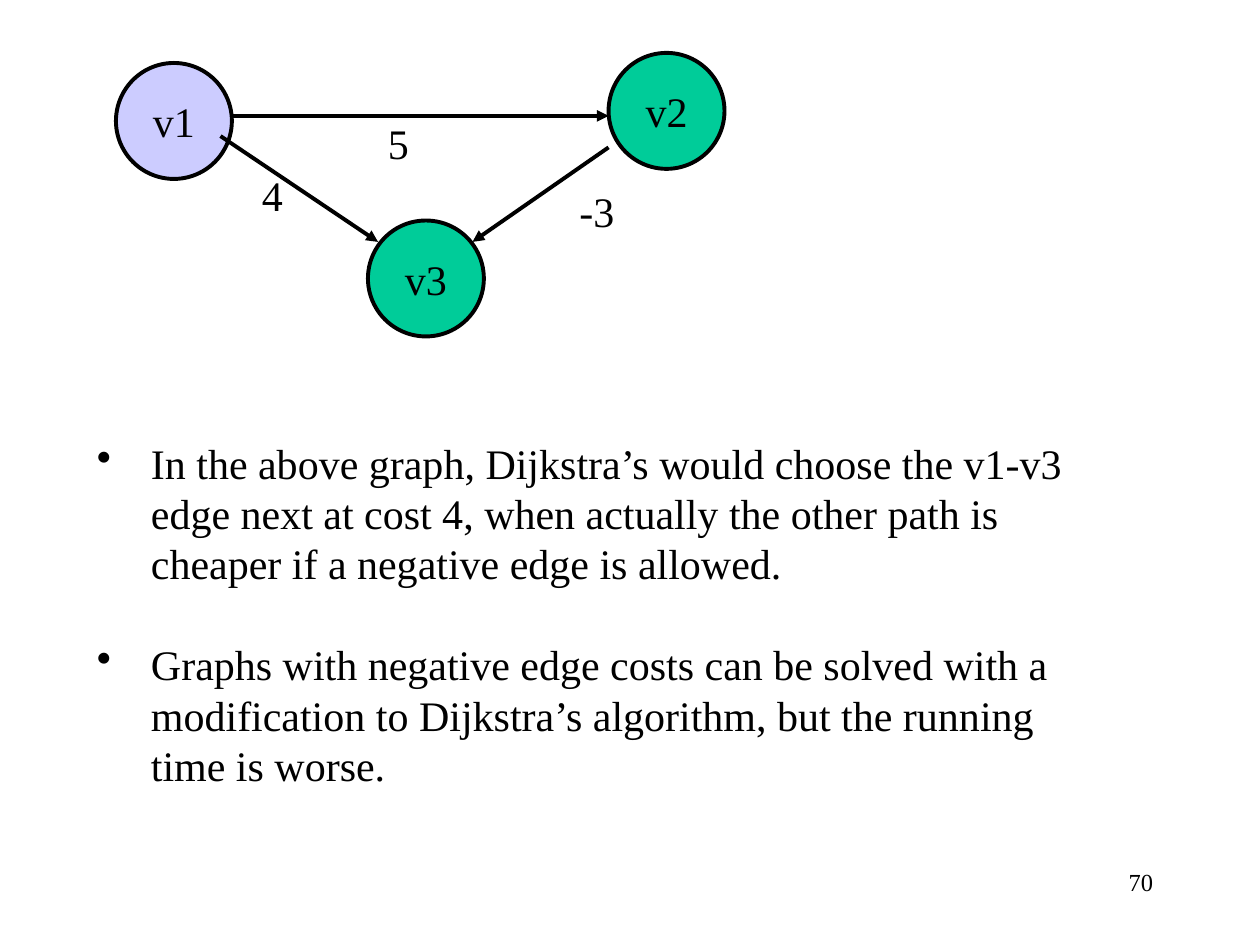
from dataclasses import dataclass
from lxml.etree import SubElement
from pptx import Presentation
from pptx.dml.color import RGBColor
from pptx.enum.shapes import MSO_CONNECTOR, MSO_SHAPE
from pptx.enum.text import MSO_ANCHOR, MSO_AUTO_SIZE, PP_ALIGN
from pptx.oxml.ns import qn
from pptx.util import Inches, Pt


@dataclass(frozen=True)
class Theme:
    font: str = "Times New Roman"
    ink: RGBColor = RGBColor(0, 0, 0)
    start: RGBColor = RGBColor(0xCC, 0xCC, 0xFF)
    node: RGBColor = RGBColor(0x00, 0xCC, 0x99)
    body: Pt = Pt(24)
    small: Pt = Pt(14)
    line: Pt = Pt(2.25)


theme = Theme()


def style(para, text, size=theme.body, align=PP_ALIGN.LEFT):
    para.alignment = align
    run = para.add_run()
    run.text = text
    form = {"name": theme.font, "size": size}
    for key, val in form.items():
        setattr(run.font, key, val)
    run.font.color.rgb = theme.ink


def add_box(x, y, w, h, **form):
    box = slide.shapes.add_textbox(Inches(x), Inches(y), Inches(w), Inches(h))
    for key, val in form.items():
        setattr(box.text_frame, key, val)
    return box.text_frame


deck = Presentation()
deck.slide_width, deck.slide_height = Inches(10), Inches(7.5)
slide = deck.slides.add_slide(deck.slide_layouts[6])

# Page number
frame = add_box(7.17, 6.83, 2.08, 0.5, word_wrap=True)
style(frame.paragraphs[0], "70", theme.small, PP_ALIGN.RIGHT)

# Graph nodes
side = Inches(0.92)
nodes = [
    ("v1", 0.92, 0.5, theme.start),
    ("v2", 4.83, 0.42, theme.node),
    ("v3", 2.92, 1.75, theme.node),
]
for name, x, y, fill in nodes:
    node = slide.shapes.add_shape(MSO_SHAPE.OVAL, Inches(x), Inches(y), side, side)
    node.shadow.inherit = False
    node.fill.solid()
    node.fill.fore_color.rgb = fill
    node.line.color.rgb = theme.ink
    node.line.width = theme.line
    form = {"word_wrap": False, "vertical_anchor": MSO_ANCHOR.MIDDLE}
    for key, val in form.items():
        setattr(node.text_frame, key, val)
    style(node.text_frame.paragraphs[0], name, align=PP_ALIGN.CENTER)

# Directed edges
edges = [
    (1.83, 0.92, 4.83, 0.92),
    (1.75, 1.08, 3, 1.92),
    (4.83, 1.17, 3.75, 1.92),
]
for ends in edges:
    edge = slide.shapes.add_connector(MSO_CONNECTOR.STRAIGHT, *map(Inches, ends))
    edge.line.color.rgb = theme.ink
    edge.line.width = theme.line
    SubElement(edge.line._get_or_add_ln(), qn("a:tailEnd"), type="triangle")
    SubElement(edge._element.spPr, qn("a:effectLst"))

# Edge costs
costs = [("5", 2.98, 0.88, 0.37), ("4", 1.98, 1.3, 0.37), ("-3", 4.5, 1.42, 0.48)]
for cost, x, y, w in costs:
    frame = add_box(x, y, w, 0.5, word_wrap=False,
                    auto_size=MSO_AUTO_SIZE.SHAPE_TO_FIT_TEXT)
    style(frame.paragraphs[0], cost)

# Bulleted notes
notes = [
    "In the above graph, Dijkstra’s would choose the v1-v3 edge next at cost 4, "
    "when actually the other path is cheaper if a negative edge is allowed.",
    "Graphs with negative edge costs can be solved with a modification to "
    "Dijkstra’s algorithm, but the running time is worse.",
]
frame = add_box(0.67, 3.42, 8, 2.93, word_wrap=True,
                auto_size=MSO_AUTO_SIZE.SHAPE_TO_FIT_TEXT)
for i, note in enumerate(notes):
    para = frame.add_paragraph() if i else frame.paragraphs[0]
    if i:
        para.space_before = Pt(28.8)
    style(para, note)
    props = para._p.get_or_add_pPr()
    props.set("marL", str(Inches(0.43)))
    props.set("indent", str(-Inches(0.43)))
    SubElement(props, qn("a:buChar"), char="•")

deck.save("out.pptx")
